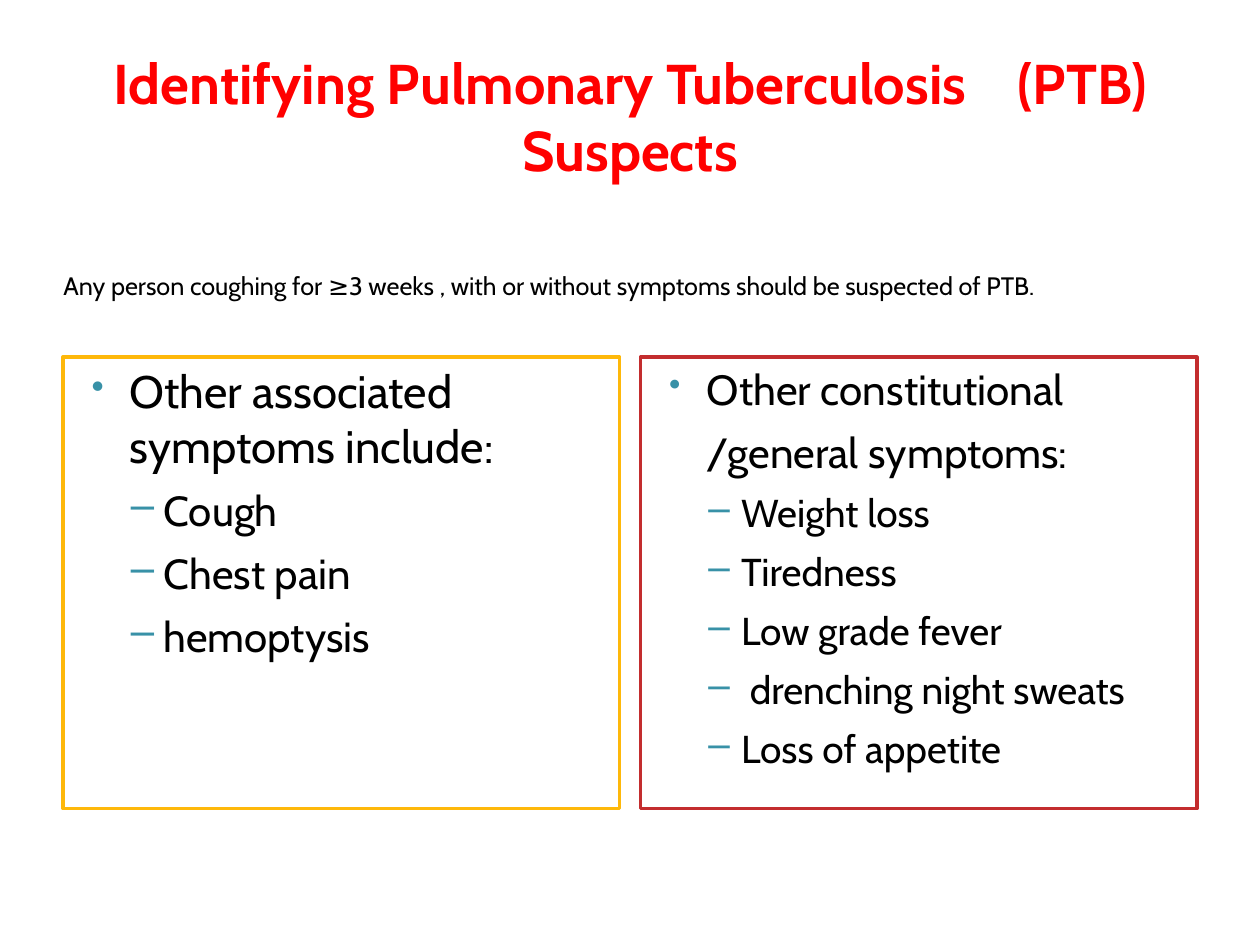
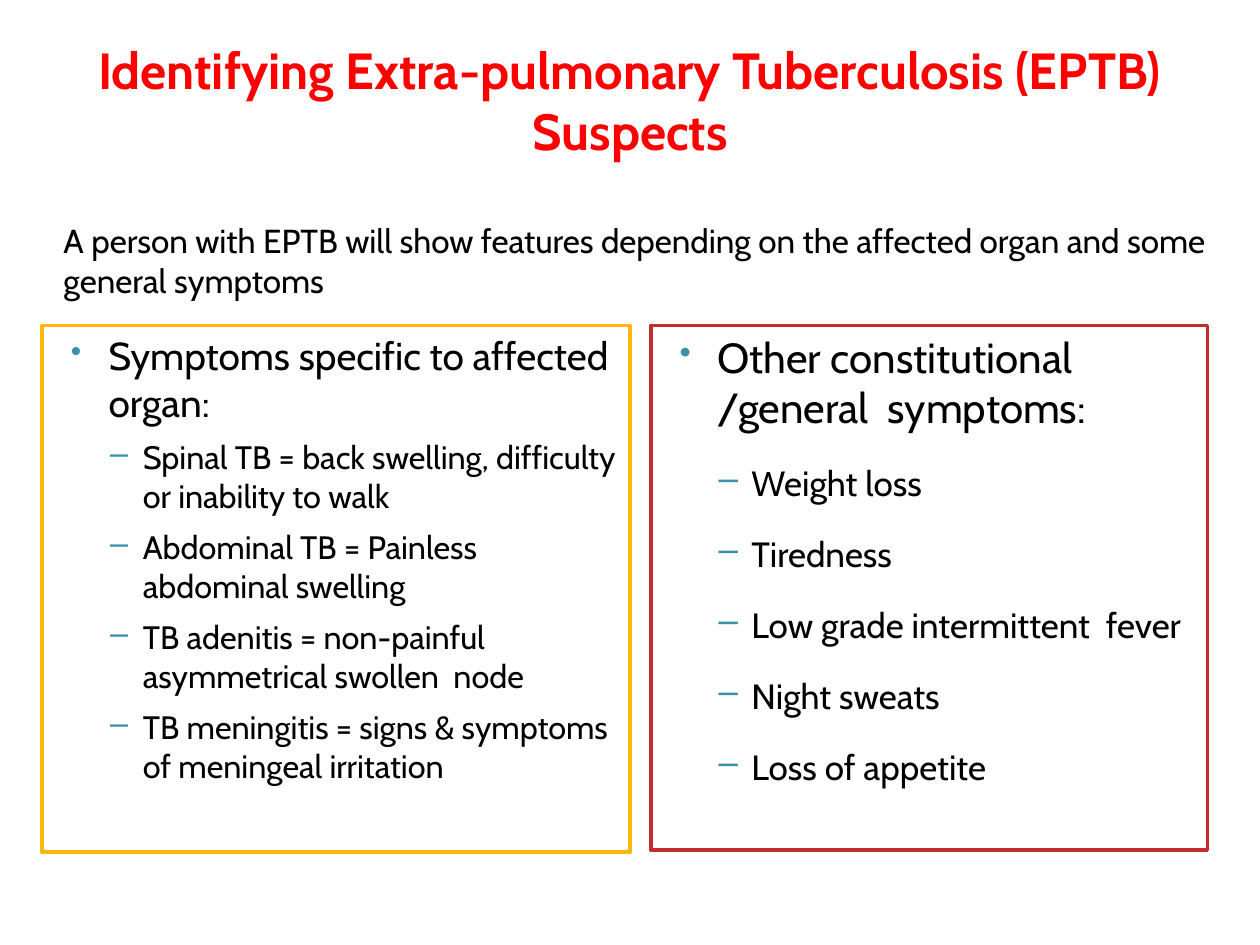
from lxml.etree import SubElement
from pptx import Presentation
from pptx.dml.color import RGBColor
from pptx.enum.shapes import MSO_SHAPE
from pptx.enum.text import MSO_ANCHOR, PP_ALIGN
from pptx.oxml.ns import qn
from pptx.util import Cm, Pt

COLORS = {
    "title": "FF0000",
    "text": "000000",
    "bullet": "3891A7",
    "panel": "FFFFFF",
    "specific": "FEB80A",
    "general": "C32D2E",
}
FONT = "Cabin"
GAP = 0.42
WIDE_SPACE = "2200"


class Deck:
    """Hold the shared style and the current slide."""

    def __init__(self):
        self.prs = Presentation()
        self.prs.slide_width, self.prs.slide_height = Cm(25.4), Cm(19.05)
        self.s = None

    def color(self, name):
        return RGBColor.from_string(COLORS[name])

    def add_slide(self):
        self.s = self.prs.slides.add_slide(self.prs.slide_layouts[6])

    def style(self, font, size, color="text", bold=False):
        font.name, font.size, font.bold = FONT, Pt(size), bold
        font.color.rgb = self.color(color)

    def text_box(self, x, y, w, h, anchor=MSO_ANCHOR.MIDDLE):
        tf = self.s.shapes.add_textbox(Cm(x), Cm(y), Cm(w), Cm(h)).text_frame
        tf.word_wrap = True
        tf.vertical_anchor = anchor
        return tf

    def title(self, parts, y, h, size):
        p = self.text_box(0.85, y, 23.71, h).paragraphs[0]
        p.alignment = PP_ALIGN.CENTER
        for i, part in enumerate(parts):
            if i:
                gap = p.add_run()
                gap.text = " "
                gap._r.get_or_add_rPr().set("spc", WIDE_SPACE)
            p.add_run().text = part
        for r in p.runs:
            self.style(r.font, size, "title", bold=True)

    def intro(self, text, y, h, size, anchor=MSO_ANCHOR.MIDDLE, bottom=0.13):
        tf = self.text_box(0.85, y, 23.92, h, anchor)
        tf.margin_left, tf.margin_bottom = Cm(0.43), Cm(bottom)
        tf.text = text
        self.style(tf.paragraphs[0].runs[0].font, size)

    def bullet(self, p, left, hang, char=None, percent=100):
        pPr = p._p.get_or_add_pPr()
        pPr.set("marL", str(Cm(left)))
        pPr.set("indent", str(-Cm(hang)))
        if char:
            clr = SubElement(pPr, qn("a:buClr"))
            SubElement(clr, qn("a:srgbClr"), val=COLORS["bullet"])
            SubElement(pPr, qn("a:buSzPct"), val=str(percent * 1000))
            SubElement(pPr, qn("a:buChar"), char=char)

    def panel(self, box, border, heading, items, sizes, spacing=1.0):
        sp = self.s.shapes.add_shape(MSO_SHAPE.RECTANGLE, *map(Cm, box))
        sp.shadow.inherit = False
        sp.fill.solid()
        sp.fill.fore_color.rgb = self.color("panel")
        sp.line.color.rgb = self.color(border)
        sp.line.width = Pt(2)
        tf = sp.text_frame
        tf.word_wrap = True
        tf.vertical_anchor = MSO_ANCHOR.TOP
        tf.text = "\n".join(heading + items)
        for i, p in enumerate(tf.paragraphs):
            is_item = i >= len(heading)
            if is_item:
                p.level = 1
                self.bullet(p, 1.78, 0.66, "–")
                p.line_spacing = spacing
            elif i == 0:
                self.bullet(p, 1.09, 0.76, "•", 80)
            else:
                self.bullet(p, 1.09, 0)
            p.alignment = PP_ALIGN.LEFT
            p.space_before = Pt(7 if i else 0)
            self.style(p.runs[0].font, sizes[is_item])


def pulmonary(deck):
    deck.add_slide()
    deck.title(["Identifying Pulmonary Tuberculosis", "(PTB) Suspects"], 1.06, 2.54, 32)
    deck.intro(
        "Any person coughing for ≥3 weeks , with or without symptoms should be suspected of PTB.",
        4.02, 2.54, 14.4, MSO_ANCHOR.BOTTOM, 0.5)
    x, y, w, h = 1.27, 7.2, 11.22, 9.1
    deck.panel((x, y, w, h), "specific", ["Other associated symptoms include:"],
               ["Cough", "Chest pain", "hemoptysis"], (26, 24))
    deck.panel((x + w + GAP, y, w, h), "general",
               ["Other constitutional", "/general symptoms:"],
               ["Weight loss", "Tiredness", "Low grade fever",
                " drenching night sweats", "Loss of appetite"], (24.1, 22.2))


def extra_pulmonary(deck):
    deck.add_slide()
    deck.title(["Identifying Extra-pulmonary Tuberculosis (EPTB) Suspects"], 0.64, 2.75, 29)
    deck.intro(
        "A person with EPTB will show features depending on the affected organ "
        "and some general symptoms", 4.23, 2.04, 19)
    x, y, w = 0.85, 6.56, 11.85
    deck.panel((x, y, w, 10.62), "specific", ["Symptoms specific to affected organ:"],
               ["Spinal TB = back swelling, difficulty or inability to walk",
                "Abdominal TB = Painless abdominal swelling",
                "TB adenitis = non-painful asymmetrical swollen  node",
                "TB meningitis = signs & symptoms of meningeal irritation"], (22.2, 18.5))
    deck.panel((x + w + GAP, y, 11.22, 10.58), "general",
               ["Other constitutional /general  symptoms:"],
               ["Weight loss", "Tiredness", "Low grade intermittent  fever",
                "Night sweats", "Loss of appetite"], (24, 20), 1.4)


def main():
    deck = Deck()
    pulmonary(deck)
    extra_pulmonary(deck)
    deck.prs.save("out.pptx")


if __name__ == "__main__":
    main()
